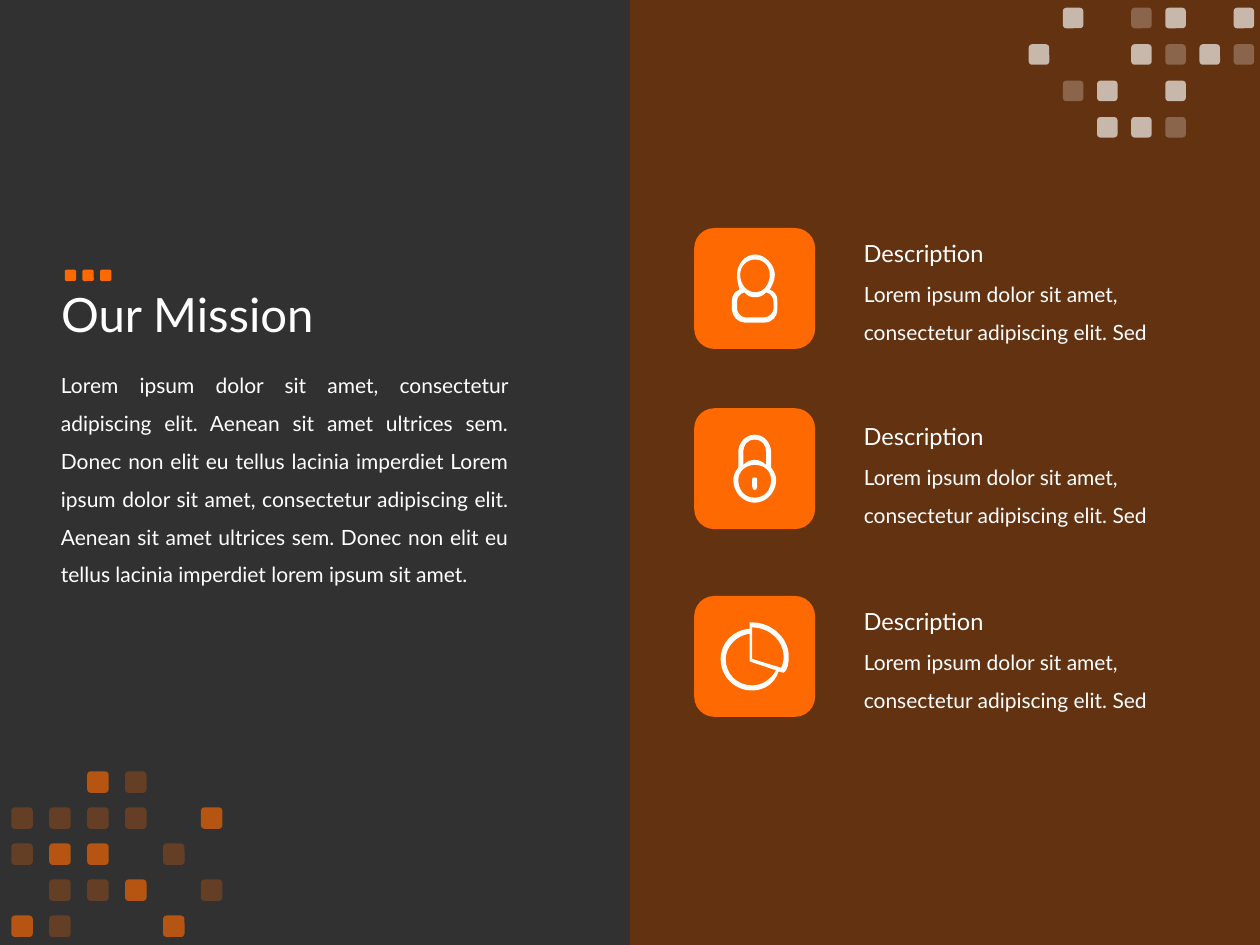
"""Build the "Our Mission" slide with three described icons."""
from typing import NamedTuple

from lxml.etree import SubElement
from pptx import Presentation
from pptx.dml.color import RGBColor
from pptx.enum.shapes import MSO_SHAPE as Preset
from pptx.enum.text import MSO_ANCHOR as Anchor, MSO_AUTO_SIZE as AutoSize, PP_ALIGN as Align
from pptx.oxml.ns import qn
from pptx.util import Inches, Pt

CELL = Inches(0.1)
COLUMNS, ROWS = 100, 75
ICON_UNITS_PER_CELL = 10
ORANGE, WHITE, BROWN, CHARCOAL = "FE6902", "FFFFFF", "7F3401", "313131"
OPACITY = {"#": 65, "+": 25, "@": 100}
TILE_COLUMN, TILE_SIZE, TEXT_COLUMN, MARGIN_COLUMN = 55.1, 9.6, 67.57, 3.85

MISSION = (
    "Lorem ipsum dolor sit amet, consectetur adipiscing elit. Aenean sit amet ultrices sem. "
    "Donec non elit eu tellus lacinia imperdiet Lorem ipsum dolor sit amet, consectetur "
    "adipiscing elit. Aenean sit amet ultrices sem. Donec non elit eu tellus lacinia "
    "imperdiet lorem ipsum sit amet."
)
SUMMARY = "Lorem ipsum dolor sit amet, consectetur adipiscing elit. Sed"

PERSON = (
    [(30, 28), (32, 24, 34, 21, 34, 16), (34, 8, 26, 0, 18.5, 0), (10, 0, 4, 8, 4, 16),
     (4, 21, 5, 24, 6, 28), (2, 29, 0, 33, 0, 36), (0, 44), (0, 49, 5, 54, 10, 54),
     (26, 54), (32, 54, 36, 49, 36, 44), (36, 36), (36, 33, 34, 29, 30, 28)],
    [(6.5, 16), (6.5, 9, 12, 4, 18.5, 4), (25, 4, 30, 9, 30, 16),
     (30, 24, 25, 30, 18.5, 30), (12, 30, 6.5, 24, 6.5, 16)],
    [(33, 43), (33, 46, 30, 50, 25, 50), (11, 50), (7, 50, 4, 46, 4, 43), (4, 38),
     (4, 34, 6, 31, 10, 30), (12, 33, 15, 34, 18.5, 34), (21, 34, 25, 33, 27, 30),
     (31, 31, 33, 34, 33, 38)],
)
PADLOCK = (
    [(17, 34), (16, 34, 15, 34, 15, 35), (15, 41), (15, 43, 16, 44, 17, 44),
     (18, 44, 19, 43, 19, 41), (19, 35), (19, 34, 18, 34, 17, 34)],
    [(30, 26), (30, 14), (30, 6, 24, 0, 17, 0), (10, 0, 4, 6, 4, 14), (4, 26),
     (1, 30, 0, 33, 0, 36), (0, 46, 8, 54, 17, 54), (26, 54, 34, 46, 34, 36),
     (34, 33, 33, 30, 30, 26)],
    [(8, 14), (8, 8, 11, 4, 17, 4), (23, 4, 26, 8, 26, 14), (26, 24),
     (23, 21, 20, 20, 17, 20), (14, 20, 11, 21, 8, 24)],
    [(17, 50), (9, 50, 4, 44, 4, 36), (4, 29, 10, 24, 17, 24),
     (25, 24, 30, 29, 30, 36), (30, 44, 25, 50, 17, 50)],
)
PIE = (
    [(25, 0), (23, 0), (23, 5), (10, 6, 0, 16, 0, 29), (0, 43, 11, 54, 25, 54),
     (35, 54, 43, 48, 46, 39), (50, 40), (53, 38, 54, 33, 54, 27), (54, 12, 40, 0, 25, 0)],
    [(25, 50), (13, 50, 4, 41, 4, 29), (4, 19, 13, 10, 23, 9), (23, 31), (44, 38),
     (40, 45, 33, 50, 25, 50)],
    [(48, 36), (25, 29), (25, 4), (39, 4, 50, 15, 50, 27), (50, 31, 49, 34, 48, 36)],
)


class Box(NamedTuple):
    """Place and size in grid cells."""
    column: float
    row: float
    columns: float
    rows: float

    def emu(self) -> list[int]:
        """Return left, top, width and height as lengths."""
        return [round(value * CELL) for value in self]


class DotField(NamedTuple):
    """Pattern of rounded dots at equal steps."""
    column: float
    row: float
    column_step: float
    row_step: float
    dot: float
    color: str
    pattern: tuple[str, ...]


class Feature(NamedTuple):
    """Icon tile with its heading and summary."""
    tile_row: float
    heading_row: float
    icon_column: float
    icon_row: float
    icon: tuple


DOT_FIELDS = (
    DotField(5.14, 21.4, 1.4, 1, 0.9, ORANGE, ("@@@",)),
    DotField(81.65, 0.62, 2.71, 2.89, 1.63, WHITE,
             (".#.+#.#", "#..#+#+", ".+#.#..", "..##+..")),
    DotField(0.9, 61.22, 3.01, 2.86, 1.71, ORANGE,
             ("..#+..", "++++.#", "+##.+.", ".++#.+", "#+..#.")),
)
FEATURES = (
    Feature(18.1, 18.47, 58.1, 20.2, PERSON),
    Feature(32.4, 33, 58.2, 34.5, PADLOCK),
    Feature(47.3, 47.7, 57.2, 49.4, PIE),
)


def paint(shape, color: str, opacity: int = 100) -> None:
    """Give a shape a plain fill with no line or shadow."""
    shape.shadow.inherit = False
    shape.line.fill.background()
    shape.fill.solid()
    shape.fill.fore_color.rgb = RGBColor.from_string(color)
    if opacity < 100:
        tint = shape.fill._xPr.find(f".//{qn('a:srgbClr')}")
        SubElement(tint, qn("a:alpha"), val=str(opacity * 1000))


def add_block(shapes, preset, box: Box, color: str, opacity: int = 100) -> None:
    """Add a filled preset shape."""
    paint(shapes.add_shape(preset, *box.emu()), color, opacity)


def write(holder, text: str, *, size: float, spacing: float = 1.0, align=Align.LEFT,
          anchor=Anchor.TOP, fit=AutoSize.SHAPE_TO_FIT_TEXT) -> None:
    """Fill a text holder with one formatted paragraph."""
    frame = holder.text_frame
    frame.word_wrap, frame.auto_size, frame.vertical_anchor = True, fit, anchor
    paragraph = frame.paragraphs[0]
    paragraph.alignment, paragraph.line_spacing = align, spacing
    run = paragraph.add_run()
    run.text = text
    run.font.name, run.font.size = "Lato", Pt(size)
    run.font.color.rgb = RGBColor.from_string(WHITE)


def add_text(shapes, box: Box, text: str, **style) -> None:
    """Add a text box."""
    write(shapes.add_textbox(*box.emu()), text, **style)


def add_dots(shapes, field: DotField) -> None:
    """Draw a dot field as one group."""
    group = shapes.add_group_shape()
    for row, line in enumerate(field.pattern):
        for column, mark in enumerate(line):
            if mark in OPACITY:
                box = Box(field.column + column * field.column_step,
                          field.row + row * field.row_step, field.dot, field.dot)
                add_block(group.shapes, Preset.ROUNDED_RECTANGLE, box, field.color, OPACITY[mark])


def add_icon(shapes, feature: Feature) -> None:
    """Draw an icon as one outline of lines and cubic curves."""
    unit = CELL // ICON_UNITS_PER_CELL
    builder = shapes.build_freeform(*feature.icon[0][0], scale=1.0)
    builder = shapes.build_freeform(*(round(value * unit) for value in feature.icon[0][0]))
    for index, (start, *segments) in enumerate(feature.icon):
        if index:
            builder.move_to(*(value * unit for value in start))
        builder.add_line_segments([(s[-2] * unit, s[-1] * unit) for s in segments], close=True)
    outline = builder.convert_to_shape(round(feature.icon_column * CELL),
                                       round(feature.icon_row * CELL))
    segments = [segment for contour in feature.icon for segment in contour[1:]]
    for line, segment in zip(list(outline._element.iter(qn("a:lnTo"))), segments):
        if len(segment) == 6:
            line.tag = qn("a:cubicBezTo")
            line.clear()
            for x, y in zip(segment[::2], segment[1::2]):
                SubElement(line, qn("a:pt"), x=str(round(x * unit)), y=str(round(y * unit)))
    paint(outline, WHITE)


def add_feature(shapes, feature: Feature) -> None:
    """Draw a tile, its icon and its texts."""
    tile = Box(TILE_COLUMN, feature.tile_row, TILE_SIZE, TILE_SIZE)
    add_block(shapes, Preset.ROUNDED_RECTANGLE, tile, ORANGE)
    add_icon(shapes, feature)
    add_text(shapes, Box(TEXT_COLUMN, feature.heading_row + 2.4, 29.8, 6.7), SUMMARY,
             size=12, spacing=1.5)
    add_text(shapes, Box(TEXT_COLUMN, feature.heading_row, 17.6, 3.3), "Description", size=13.5)


def main() -> None:
    """Build and save the presentation."""
    deck = Presentation()
    deck.slide_width, deck.slide_height = COLUMNS * CELL, ROWS * CELL
    slide = deck.slides.add_slide(deck.slide_layouts[5])
    slide.background.fill.solid()
    slide.background.fill.fore_color.rgb = RGBColor.from_string(CHARCOAL)
    shapes = slide.shapes

    title = shapes.title
    title.left, title.top, title.width, title.height = Box(MARGIN_COLUMN, 16.8, 86.2, 16.7).emu()
    write(title, "Our Mission", size=27, spacing=0.9, anchor=Anchor.MIDDLE, fit=AutoSize.NONE)
    add_block(shapes, Preset.RECTANGLE, Box(COLUMNS / 2, 0, COLUMNS / 2, ROWS), BROWN, 65)
    add_text(shapes, Box(MARGIN_COLUMN, 28.1, 37.5, 18.8), MISSION, size=12, spacing=1.5,
             align=Align.JUSTIFY)
    for feature in FEATURES:
        add_feature(shapes, feature)
    for field in DOT_FIELDS:
        add_dots(shapes, field)
    deck.save("out.pptx")


if __name__ == "__main__":
    main()
